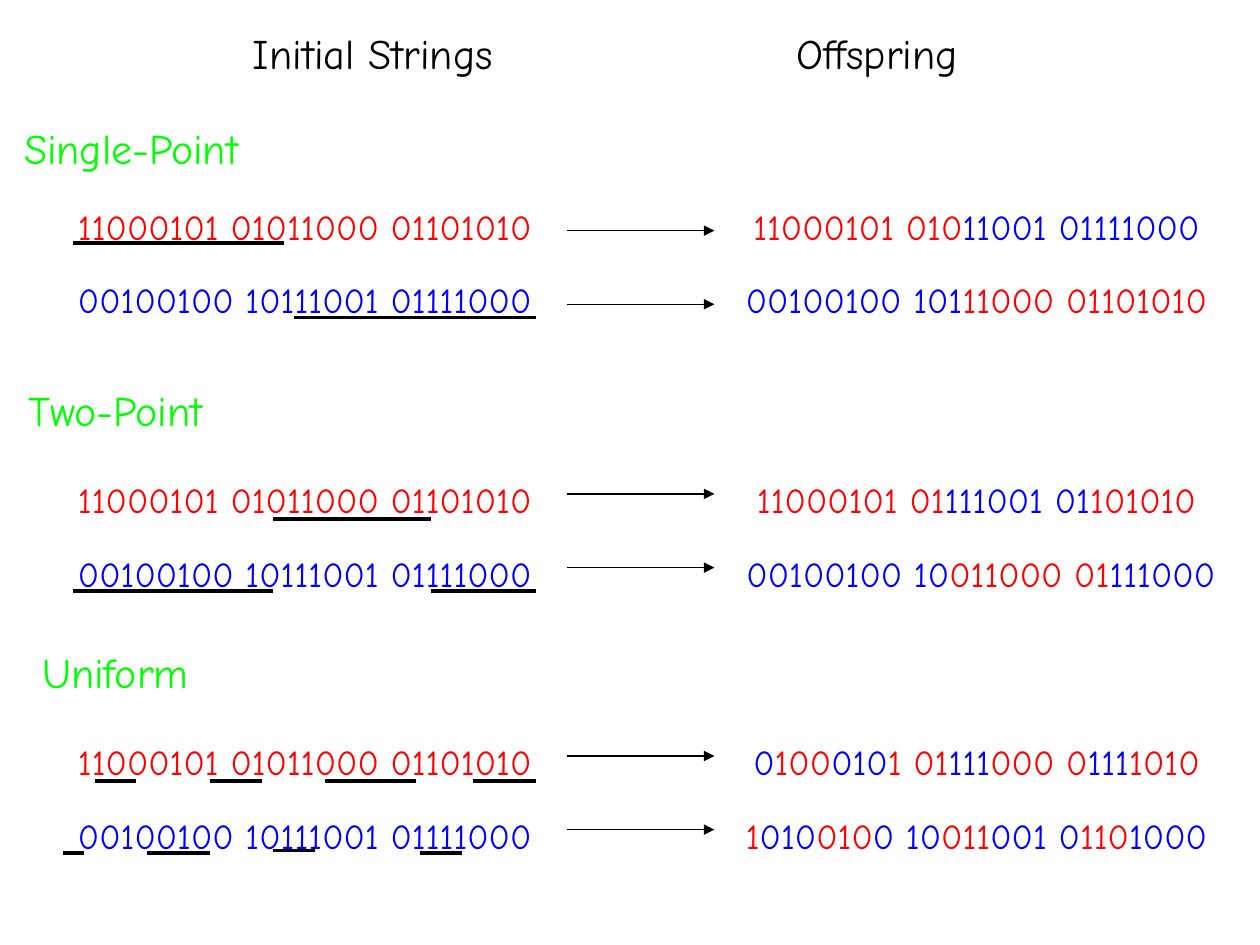
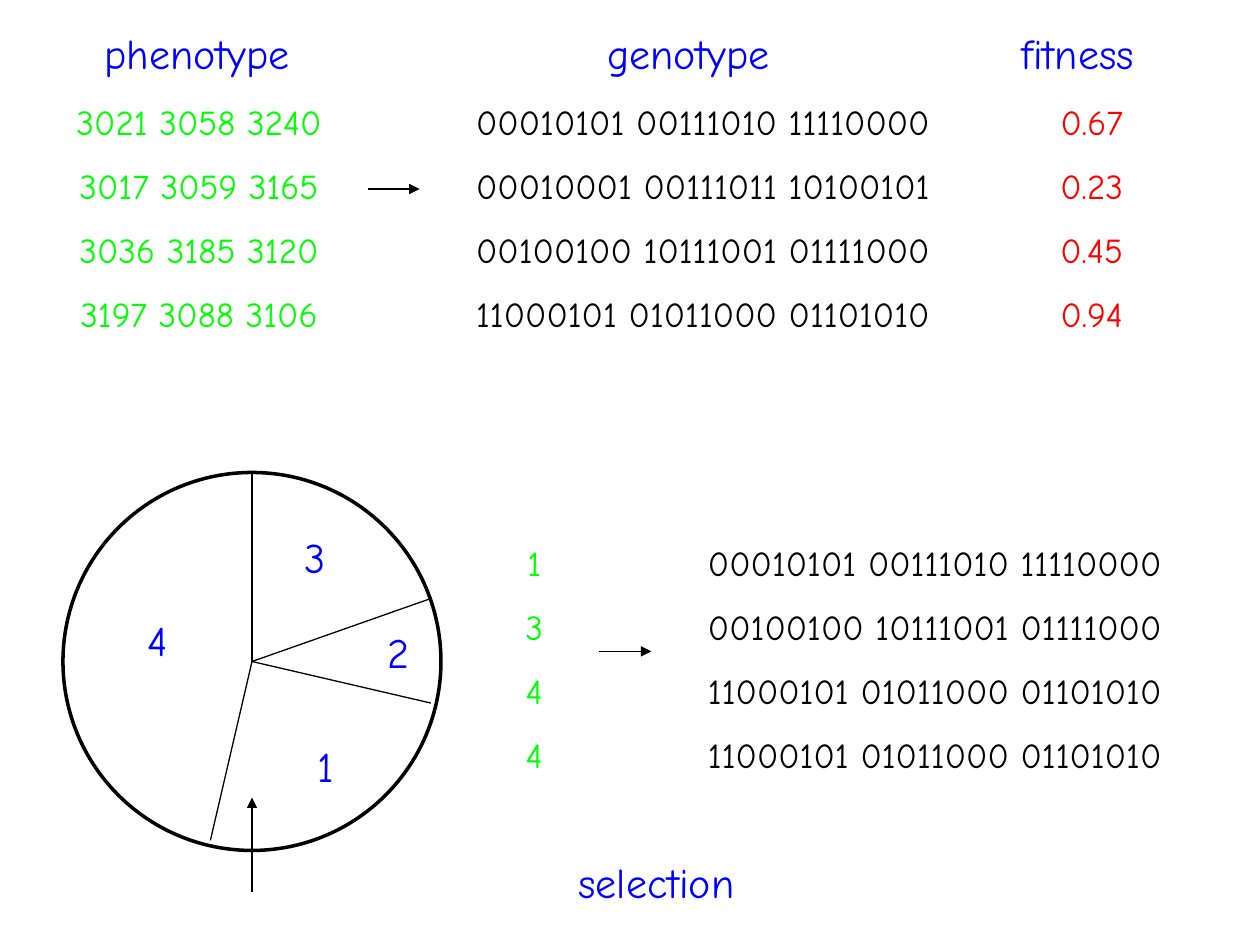
from pptx import Presentation
from pptx.dml.color import RGBColor
from pptx.enum.shapes import MSO_CONNECTOR, MSO_SHAPE
from pptx.enum.text import MSO_AUTO_SIZE, PP_ALIGN
from pptx.oxml.ns import qn
from pptx.util import Inches, Pt
from lxml.etree import SubElement

FONT = "Comic Neue"
BLACK = RGBColor(0, 0, 0)
RED = RGBColor(255, 0, 0)
GREEN = RGBColor(0, 255, 0)
BLUE = RGBColor(0, 0, 255)
HEAD, BODY = 24, 20

MOM = "11000101 01011000 01101010"
DAD = "00100100 10111001 01111000"
HEADS = [("Initial Strings", 1.86, 2.2), ("Offspring", 6.17, 1.58)]
STEP = 0.585

CROSSES = [
    dict(name="Single-Point", top=0.92, width=2.08, rows=1.58, arrow=1.83,
         cuts=[12], kids=[(5.75, 4), (5.75, 4)],
         marks=[(0.58, 2.25, 1.93), (2.33, 4.25, 2.52)]),
    dict(name="Two-Point", top=3, width=1.83, rows=3.75, arrow=3.92,
         cuts=[11, 20], kids=[(5.75, 4), (5.7, 4.17)],
         marks=[(2.17, 3.42, 4.12), (0.58, 2.17, 4.69), (3.42, 4.25, 4.69)]),
    dict(name="Uniform", top=5.08, width=1.83, rows=5.83, arrow=6,
         cuts=[1, 4, 7, 11, 14, 19, 22], kids=[(5.75, 4), (5.75, 4)],
         marks=[(0.75, 1.08, 6.2), (1.67, 2.08, 6.2), (2.58, 3.3, 6.2),
                (3.75, 4.25, 6.2), (0.5, 0.67, 6.77), (1.17, 1.67, 6.77),
                (2.17, 2.5, 6.75), (3.33, 3.67, 6.77)]),
]

GENES = ["00010101 00111010 11110000", "00010001 00111011 10100101", DAD, MOM]
TYPES = ["3021 3058 3240", "3017 3059 3165", "3036 3185 3120", "3197 3088 3106"]
SCORES = ["0.67", "0.23", "0.45", "0.94"]
PICKS = [1, 3, 4, 4]
TITLES = [("phenotype", 0.68, 1.77), ("genotype", 4.67, 1.59), ("fitness", 7.96, 1.19)]
LISTS = [
    (TYPES, 0.33, 0.75, 2.5, GREEN),
    (GENES, 3.58, 0.75, 4, BLACK),
    (SCORES, 8.08, 0.75, 1.17, RED),
    ([str(pick) for pick in PICKS], 3.92, 4.25, 0.64, GREEN),
    ([GENES[pick - 1] for pick in PICKS], 5.42, 4.25, 4, BLACK),
]
HUB, RADIUS = (2, 5.25), 1.5
SPOKES = [(3.42, 5.58), (3.42, 4.75), (1.67, 6.67)]
SLICES = [("1", 2.25, 5.83), ("2", 2.83, 4.92), ("3", 2.17, 4.17), ("4", 0.92, 4.83)]
ARROWS = [((2.92, 1.5), (3.33, 1.5)), ((4.75, 5.17), (5.17, 5.17)), ((2, 7.08), (2, 6.33))]


def write(slide, lines, left, top, width, size, wrap=True):
    gap = 0.44 if size == BODY else 0.5
    height = gap + (len(lines) - 1) * 0.507
    box = slide.shapes.add_textbox(Inches(left), Inches(top), Inches(width), Inches(height))
    frame = box.text_frame
    frame.word_wrap = wrap
    frame.auto_size = MSO_AUTO_SIZE.SHAPE_TO_FIT_TEXT
    for i, runs in enumerate(lines):
        para = frame.add_paragraph() if i else frame.paragraphs[0]
        para.alignment = PP_ALIGN.CENTER
        if i:
            para.space_before = Pt(12.5)
        for text, color in runs:
            run = para.add_run()
            run.text = text
            run.font.name = FONT
            run.font.size = Pt(size)
            run.font.color.rgb = color


def draw(slide, start, end, weight=0.75, arrow=False):
    points = [Inches(n) for n in (*start, *end)]
    line = slide.shapes.add_connector(MSO_CONNECTOR.STRAIGHT, *points)
    line.line.color.rgb = BLACK
    line.line.width = Pt(weight)
    props = line._element.spPr
    if arrow:
        SubElement(props.find(qn("a:ln")), qn("a:tailEnd"), type="triangle")
    SubElement(props, qn("a:effectLst"))
    return line


def breed(cuts, first, second):
    edges = [0, *cuts, len(MOM)]
    pair = (first, second)
    runs = []
    for i, (a, b) in enumerate(zip(edges, edges[1:])):
        genes, color = pair[i % 2]
        runs.append((genes[a:b], color))
    return runs


def cross(slide):
    for text, left, width in HEADS:
        write(slide, [[(text, BLACK)]], left, 0.17, width, HEAD, False)
    mom, dad = (MOM, RED), (DAD, BLUE)
    pairs = [(mom, dad), (dad, mom)]
    for case in CROSSES:
        write(slide, [[(case["name"], GREEN)]], 0, case["top"], case["width"], HEAD)
        swap = case["name"] == "Uniform"
        for i, (left, width) in enumerate(case["kids"]):
            top = case["rows"] + i * STEP
            write(slide, [[pairs[i][0]]], 0.42, top, 4, BODY)
            kid = breed(case["cuts"], *pairs[1 - i if swap else i])
            write(slide, [kid], left, top, width, BODY)
            y = case["arrow"] + i * STEP
            draw(slide, (4.5, y), (5.67, y), arrow=True)
        for a, b, y in case["marks"]:
            draw(slide, (a, y), (b, y), 2)


def select(slide):
    for text, left, width in TITLES:
        write(slide, [[(text, BLUE)]], left, 0.17, width, HEAD, False)
    for items, left, top, width, color in LISTS:
        write(slide, [[(item, color)] for item in items], left, top, width, BODY)
    x, y = HUB
    wheel = slide.shapes.add_shape(MSO_SHAPE.OVAL, Inches(x - RADIUS), Inches(y - RADIUS),
                                   Inches(2 * RADIUS), Inches(2 * RADIUS))
    wheel.shadow.inherit = False
    wheel.fill.background()
    wheel.line.color.rgb = BLACK
    wheel.line.width = Pt(2)
    draw(slide, HUB, (x, y - RADIUS)).end_connect(wheel, 0)
    for end in SPOKES:
        draw(slide, HUB, end)
    for text, left, top in SLICES:
        write(slide, [[(text, BLUE)]], left, top, 0.67, HEAD)
    for start, end in ARROWS:
        draw(slide, start, end, arrow=True)
    write(slide, [[("selection", BLUE)]], 3.17, 6.75, 4.08, HEAD)


def main():
    deck = Presentation()
    deck.slide_width, deck.slide_height = Inches(10), Inches(7.5)
    for build in (cross, select):
        build(deck.slides.add_slide(deck.slide_layouts[6]))
    deck.save("out.pptx")


if __name__ == "__main__":
    main()
